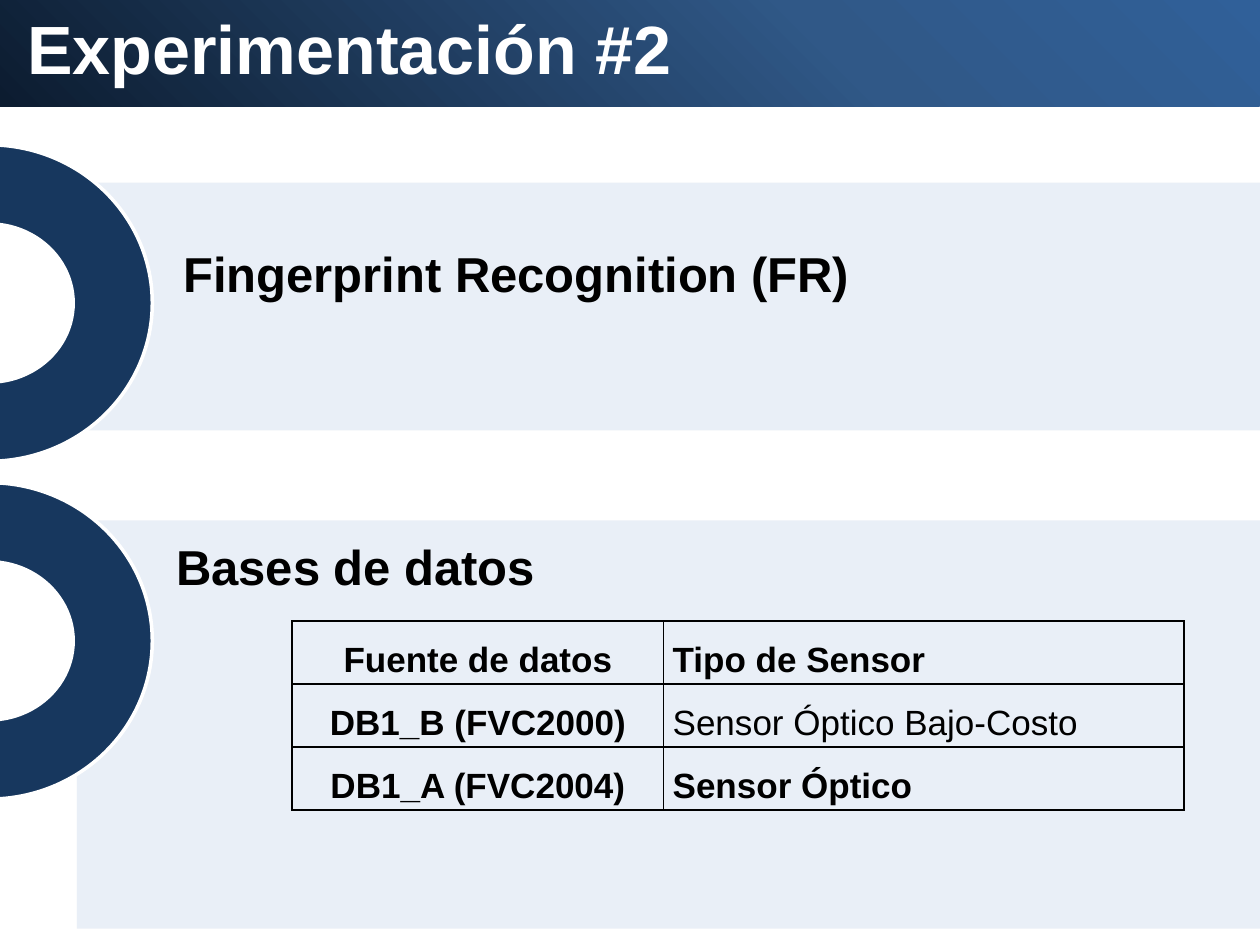
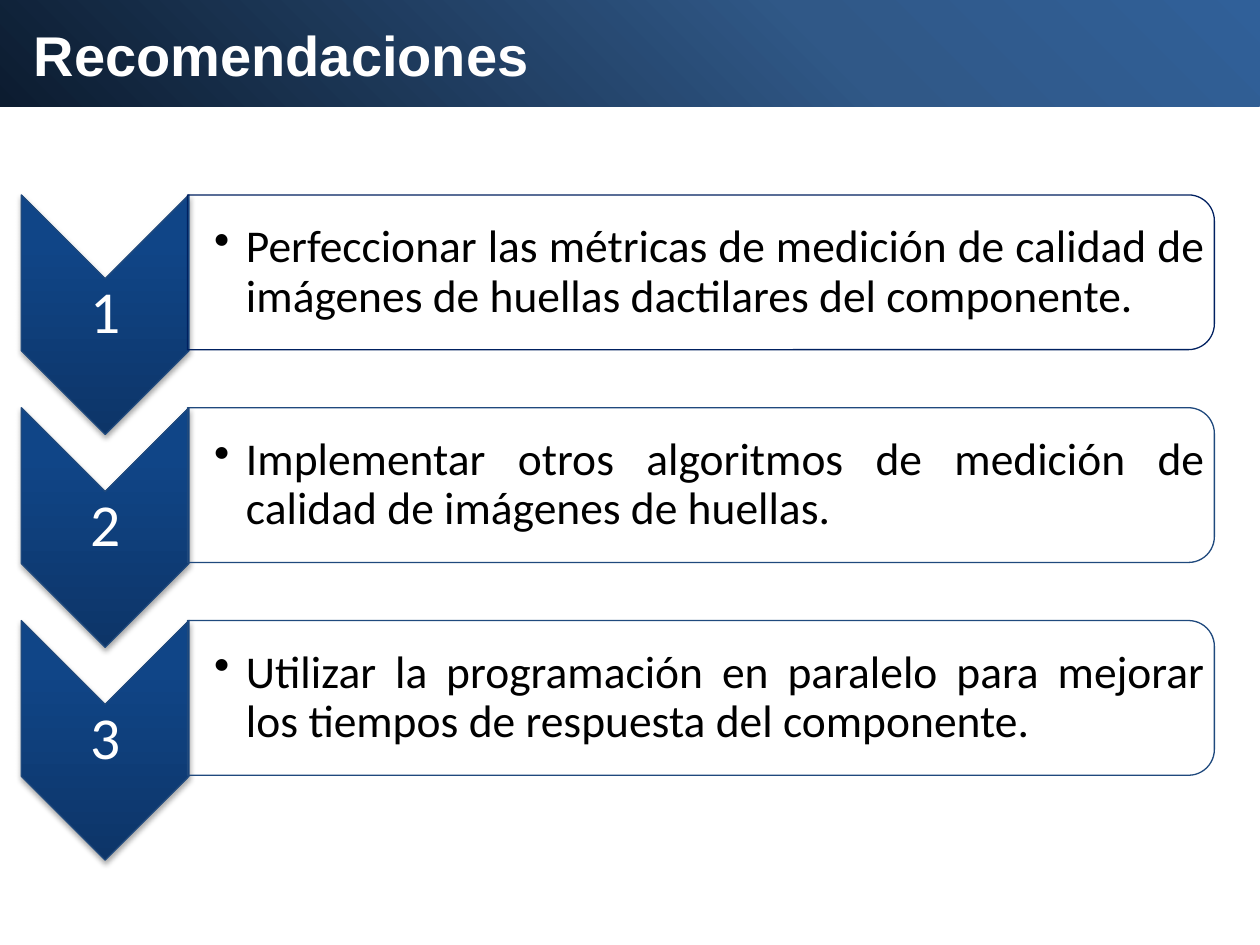
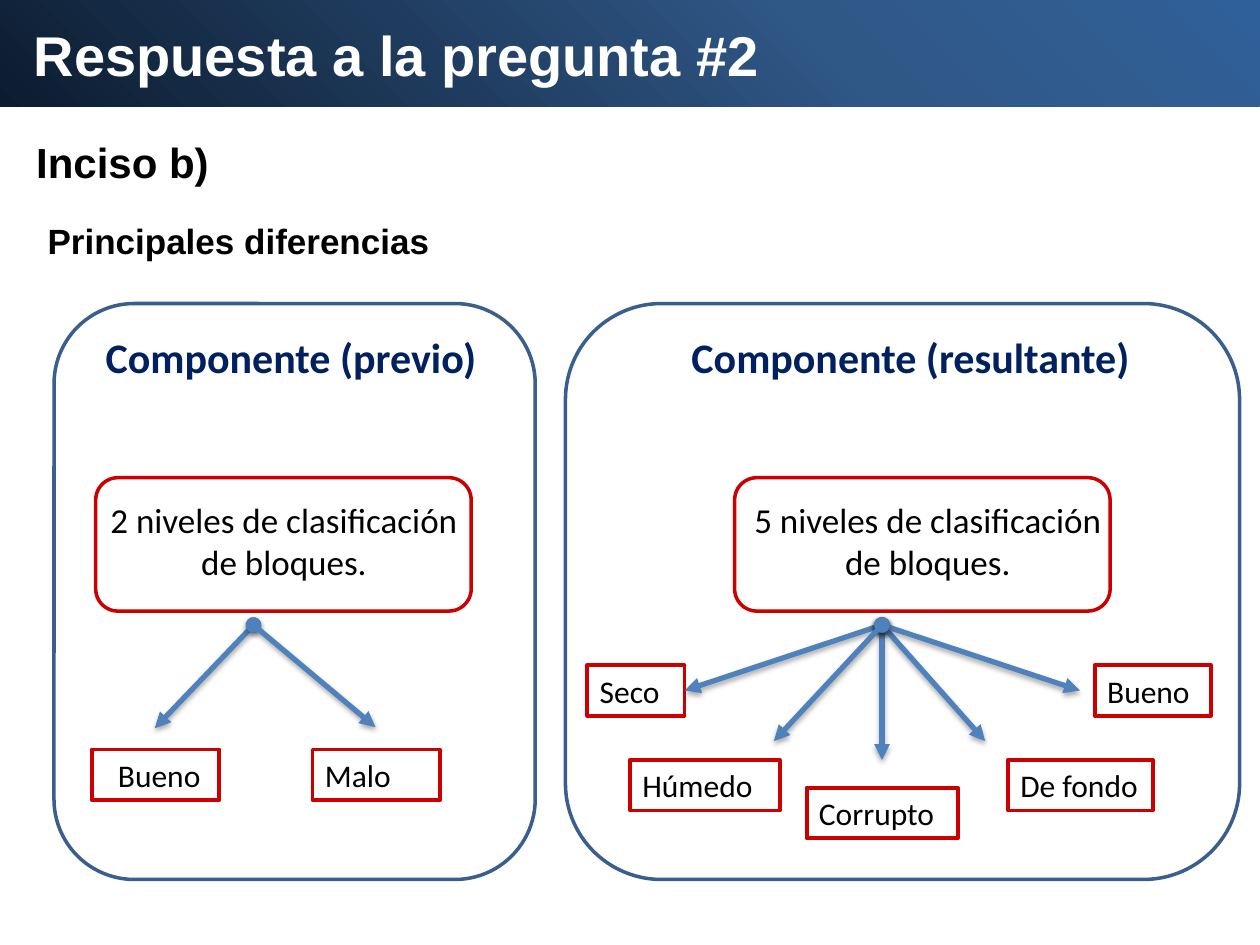
from lxml import etree
from pptx import Presentation
from pptx.dml.color import RGBColor
from pptx.enum.shapes import MSO_CONNECTOR, MSO_SHAPE
from pptx.enum.text import MSO_ANCHOR, MSO_AUTO_SIZE, PP_ALIGN
from pptx.oxml.ns import qn
from pptx.util import Cm, Pt

LEFT, CENTER, JUSTIFY = PP_ALIGN.LEFT, PP_ALIGN.CENTER, PP_ALIGN.JUSTIFY
TOP, MIDDLE = MSO_ANCHOR.TOP, MSO_ANCHOR.MIDDLE
RECTANGLE, ROUNDED = MSO_SHAPE.RECTANGLE, MSO_SHAPE.ROUNDED_RECTANGLE
RIGHT_SIDE = 3

WHITE, BLACK = "FFFFFF", "000000"
NAVY, STEEL, PALE = "002060", "1F497D", "DCE6F2"
RING_BLUE, PANEL_BLUE, ARROW_BLUE = "17375E", "3A5F8C", "4F81BD"
RED = "CC0000"
BAND_STOPS = [(0, "0C1C30"), (65, "305887"), (100, "306099")]
CHEVRON_STOPS = [(0, "0D3568"), (80, "104587"), (100, "0E458A")]
HEADING_FONT, BODY_FONT = "Arial", "Calibri"
DEFAULT_MARGINS = (0.25, 0.13, 0.25, 0.13)
SLIM_MARGINS = (0.05, 0.05, 0.05, 0.05)


def rgb(value):
    return RGBColor.from_string(value)


def cms(*lengths):
    return [Cm(length) for length in lengths]


def add_xml(parent, tag, **attributes):
    values = {name: str(value) for name, value in attributes.items()}
    return etree.SubElement(parent, qn(tag), values)


def set_gradient(shape, stops):
    """Fill the shape with the stops and return the gradient, still without direction."""
    shape.fill.gradient()
    gradient = shape.element.spPr.find(qn("a:gradFill"))
    for child in list(gradient):
        gradient.remove(child)
    gradient.set("rotWithShape", "0")
    stop_list = add_xml(gradient, "a:gsLst")
    for position, color in stops:
        stop = add_xml(stop_list, "a:gs", pos=position * 1000)
        add_xml(stop, "a:srgbClr", val=color)
    return gradient


def add_shadow(effects):
    shadow = add_xml(effects, "a:outerShdw", blurRad=40000, dist=23000,
                     dir=5400000, rotWithShape=0)
    color = add_xml(shadow, "a:srgbClr", val=BLACK)
    add_xml(color, "a:alpha", val=35000)


def add_figure(page, kind, frame, fill=None, line=None, width=1):
    shape = page.shapes.add_shape(kind, *cms(*frame))
    shape.shadow.inherit = False
    if fill:
        shape.fill.solid()
        shape.fill.fore_color.rgb = rgb(fill)
    else:
        shape.fill.background()
    if line:
        shape.line.color.rgb = rgb(line)
        shape.line.width = Pt(width)
    else:
        shape.line.fill.background()
    return shape


def quarter_turned(left, top, width, height):
    """Frame that covers the given area once its shape is rotated by 90 degrees."""
    shift = (width - height) / 2
    return left + shift, top - shift, height, width


def write(frame, text, size, font, color=BLACK, bold=False, align=LEFT,
          anchor=TOP, margins=DEFAULT_MARGINS, spacing=None, bullet=False):
    frame.word_wrap = True
    frame.auto_size = MSO_AUTO_SIZE.NONE
    frame.vertical_anchor = anchor
    (frame.margin_left, frame.margin_top,
     frame.margin_right, frame.margin_bottom) = cms(*margins)
    frame.text = text
    style_paragraph(frame.paragraphs[0], size, font, color, bold, align, spacing, bullet)


def style_paragraph(para, size, font, color, bold, align, spacing=None, bullet=False):
    para.alignment = align
    if spacing:
        para.line_spacing = spacing
    if bullet:
        properties = para._p.get_or_add_pPr()
        properties.set("marL", str(Cm(0.64)))
        properties.set("indent", str(-Cm(0.64)))
        add_xml(properties, "a:buChar", char="•")
    para.font.size = Pt(size)
    para.font.name = font
    para.font.bold = bold
    para.font.color.rgb = rgb(color)


def add_text(page, frame, text, size, font, **style):
    box = page.shapes.add_textbox(*cms(*frame))
    write(box.text_frame, text, size, font, **style)


def add_page(deck, title_text, size=32, left=0.43, top=0.28):
    """Add a slide with the blue band and its title."""
    page = deck.slides.add_slide(deck.slide_layouts[5])
    title = page.shapes.title
    title.left, title.top, title.width, title.height = cms(left, top, 20, 1.8)
    write(title.text_frame, title_text, size, HEADING_FONT, color=WHITE, bold=True)
    band = add_figure(page, RECTANGLE, (0, -0.2, 25.4, 2.34))
    gradient = set_gradient(band, BAND_STOPS)
    circle = add_xml(gradient, "a:path", path="circle")
    add_xml(circle, "a:fillToRect", l=0, t=100000, r=100000, b=0)
    title.element.addprevious(band.element)
    return page


def add_pale_panel(page, frame):
    panel = add_figure(page, RECTANGLE, frame, fill=PALE)
    color = panel.element.spPr.find(qn("a:solidFill"))[0]
    add_xml(color, "a:alpha", val=61000)


def add_ring(page, top):
    add_figure(page, MSO_SHAPE.DONUT, (-3.51, top, 6.58, 6.38), RING_BLUE, WHITE, 2)


def add_borders(cell):
    properties = cell._tc.get_or_add_tcPr()
    for side in ("a:lnL", "a:lnR", "a:lnT", "a:lnB"):
        border = add_xml(properties, side, w=Pt(1))
        fill = add_xml(border, "a:solidFill")
        add_xml(fill, "a:srgbClr", val=BLACK)


def add_sensor_table(page, left, top, widths, row_height, rows):
    """Each row is source, sensor and whether the sensor is bold."""
    table = page.shapes.add_table(
        len(rows), len(widths),
        *cms(left, top, sum(widths), row_height * len(rows))).table
    table.first_row = table.horz_banding = False
    for column, width in zip(table.columns, widths):
        column.width = Cm(width)
    for row_index, (source, sensor, sensor_bold) in enumerate(rows):
        table.rows[row_index].height = Cm(row_height)
        contents = [(source, True, CENTER), (sensor, sensor_bold, JUSTIFY)]
        for column_index, (text, bold, align) in enumerate(contents):
            cell = table.cell(row_index, column_index)
            add_borders(cell)
            cell.fill.background()
            cell.margin_left = cell.margin_right = Cm(0.18)
            cell.margin_top = cell.margin_bottom = 0
            cell.text = text
            style_paragraph(cell.text_frame.paragraphs[0], 20, HEADING_FONT,
                            BLACK, bold, align, spacing=1.5)


def add_step(page, number, top, text, outline):
    chevron = add_figure(page, MSO_SHAPE.CHEVRON,
                         quarter_turned(0.43, top, 3.38, 4.83), line=STEEL, width=0.75)
    chevron.rotation = 90
    add_xml(set_gradient(chevron, CHEVRON_STOPS), "a:lin", ang=16200000, scaled=0)
    add_shadow(chevron.element.spPr.find(qn("a:effectLst")))
    add_text(page, (0.43, top + 1.69, 3.38, 1.45), str(number), 34, BODY_FONT,
             color=WHITE, align=CENTER, anchor=MIDDLE, margins=SLIM_MARGINS, spacing=0.9)
    panel = add_figure(page, MSO_SHAPE.ROUND_2_SAME_RECTANGLE,
                       quarter_turned(3.78, top, 20.7, 3.12), line=outline, width=0.75)
    panel.rotation = 90
    add_text(page, (3.81, top + 0.16, 20.55, 2.82), text, 26, BODY_FONT,
             align=JUSTIFY, anchor=MIDDLE, margins=(0.51, 0.05, 0.05, 0.05),
             spacing=0.9, bullet=True)


def add_component(page, panel_left, panel_width, heading, heading_left):
    add_figure(page, ROUNDED, (panel_left, 6.12, panel_width, 11.61),
               line=PANEL_BLUE, width=2)
    add_text(page, (heading_left, 6.55, 9.83, 1.27), heading, 24, BODY_FONT,
             color=NAVY, bold=True)


def add_levels(page, box_left, text_left, text):
    add_text(page, (text_left, 9.91, 7.59, 1.96), text, 20, BODY_FONT, align=CENTER)
    add_figure(page, ROUNDED, (box_left, 9.63, 7.57, 2.69), line=RED, width=2)


def add_class(page, text, left, top, width, align=LEFT):
    box = add_figure(page, RECTANGLE, (left, top, width, 1.02), line=RED, width=2.25)
    write(box.text_frame, text, 18, BODY_FONT, align=align, anchor=MIDDLE,
          margins=(0.25, 0.13, 0.1, 0.13))
    return box


def add_arrow(page, start, end):
    arrow = page.shapes.add_connector(MSO_CONNECTOR.STRAIGHT, *cms(*start, *end))
    arrow.line.color.rgb = rgb(ARROW_BLUE)
    arrow.line.width = Pt(3)
    properties = arrow.element.spPr
    line = properties.find(qn("a:ln"))
    add_xml(line, "a:headEnd", type="oval")
    add_xml(line, "a:tailEnd", type="triangle")
    add_shadow(add_xml(properties, "a:effectLst"))
    return arrow


def build_experiment(deck):
    page = add_page(deck, "Experimentación #2", size=39, left=0.3, top=0)
    add_pale_panel(page, (1.55, 10.49, 25.76, 8.23))
    add_pale_panel(page, (1.73, 3.68, 25.76, 5))
    for top in (2.92, 9.73):
        add_ring(page, top)
    for text, left, top in [("Fingerprint Recognition (FR)", 3.45, 4.78),
                            ("Bases de datos", 3.3, 10.69)]:
        add_text(page, (left, top, 21.62, 2.64), text, 28, HEADING_FONT,
                 bold=True, align=JUSTIFY)
    add_sensor_table(page, 5.89, 12.52, (7.49, 10.49), 1.27, [
        ("Fuente de datos", "Tipo de Sensor", True),
        ("DB1_B (FVC2000)", "Sensor Óptico Bajo-Costo", False),
        ("DB1_A (FVC2004)", "Sensor Óptico", True),
    ])


def build_recommendations(deck):
    page = add_page(deck, "Recomendaciones")
    steps = [
        ("Perfeccionar las métricas de medición de calidad de imágenes de huellas "
         "dactilares del componente.", NAVY),
        ("Implementar otros algoritmos de medición de calidad de imágenes de huellas.",
         STEEL),
        ("Utilizar la programación en paralelo para mejorar los tiempos de respuesta "
         "del componente.", STEEL),
    ]
    for index, (text, outline) in enumerate(steps):
        add_step(page, index + 1, 3.93 + 4.29 * index, text, outline)


def build_answer(deck):
    page = add_page(deck, "Respuesta a la pregunta #2")
    add_text(page, (0.48, 2.62, 4.42, 1.27), "Inciso b)", 24, HEADING_FONT, bold=True)
    add_text(page, (0.71, 4.29, 22.96, 1.12), "Principales diferencias", 20,
             HEADING_FONT, bold=True)
    add_component(page, 1.09, 9.7, "Componente (previo)", 1.88)
    add_component(page, 11.4, 13.59, "Componente (resultante)", 13.69)
    add_levels(page, 1.93, 1.93, "2 niveles de clasificación de bloques.")
    add_levels(page, 14.81, 14.91, "5 niveles de clasificación de bloques.")

    add_class(page, "Bueno", 1.85, 15.11, 2.57, align=CENTER)
    add_class(page, "Malo", 6.3, 15.11, 2.57)
    add_class(page, "Bueno", 22.07, 13.41, 2.34)
    dry = add_class(page, "Seco", 11.84, 13.41, 1.96)
    add_class(page, "Húmedo", 12.7, 15.32, 3.02)
    add_class(page, "Corrupto", 16.26, 15.88, 3.05)
    add_class(page, "De fondo", 20.32, 15.32, 2.92)

    for end in [(3.12, 14.68), (7.57, 14.66)]:
        add_arrow(page, (5.11, 12.6), end)
    hub = (17.78, 12.6)
    add_arrow(page, hub, (13.8, 13.92)).end_connect(dry, RIGHT_SIDE)
    for end in [(17.78, 15.32), (19.86, 14.94), (21.77, 13.92), (15.6, 14.94)]:
        add_arrow(page, hub, end)


def main():
    deck = Presentation()
    deck.slide_width, deck.slide_height = cms(25.4, 19.05)
    build_experiment(deck)
    build_recommendations(deck)
    build_answer(deck)
    deck.save("out.pptx")


if __name__ == "__main__":
    main()
